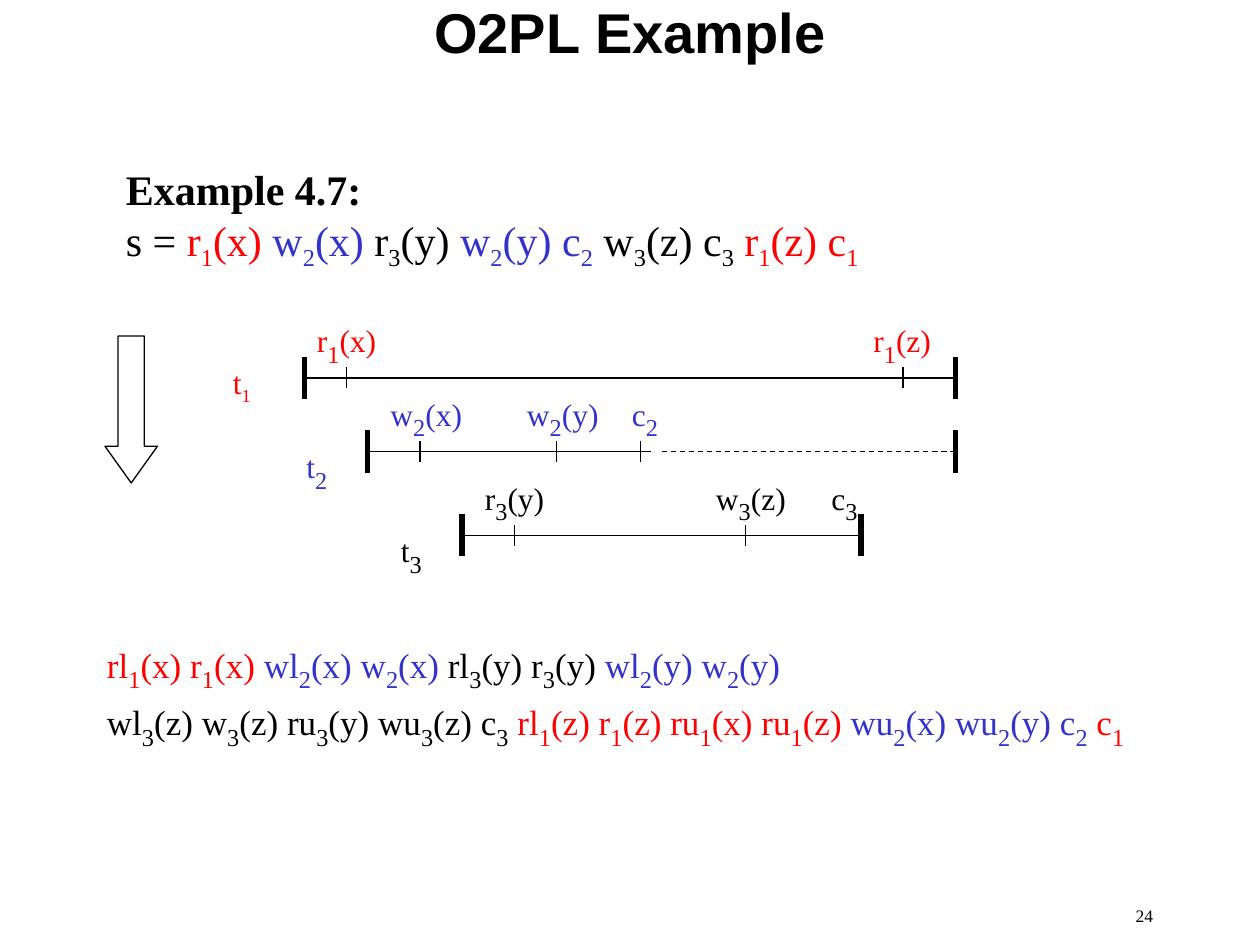
from dataclasses import dataclass
from itertools import groupby
from lxml import etree
from pptx import Presentation
from pptx.dml.color import RGBColor
from pptx.enum import dml, shapes, text
from pptx.oxml import ns
from pptx.util import Pt


@dataclass(frozen=True)
class Theme:
    ink: str = "000000"
    red: str = "FF0000"
    blue: str = "3333CC"
    head: str = "Arial"
    body: str = "Times New Roman"
    title: int = 32
    large: int = 24
    steps: int = 20
    label: int = 18
    small: int = 10
    thin: float = 0.75
    thick: float = 3

    def hue(self, tx):
        """Colour of a transaction; 0 stands for plain text."""
        return (self.ink, self.red, self.blue, self.ink)[tx]


class Page:
    def __init__(self, deck, theme):
        self.theme = theme
        self.shapes = deck.slides.add_slide(deck.slide_layouts[6]).shapes

    def box(self, x, y, w, h, anchor=text.MSO_ANCHOR.TOP):
        frame = self.shapes.add_textbox(Pt(x), Pt(y), Pt(w), Pt(h)).text_frame
        frame.word_wrap = True
        frame.vertical_anchor = anchor
        return frame

    def run(self, para, words, size, tx=0, bold=False, face=None):
        run = para.add_run()
        run.text = words
        font = run.font
        font.name, font.size, font.bold = face or self.theme.body, Pt(size), bold
        font.color.rgb = RGBColor.from_string(self.theme.hue(tx))
        return run

    def terms(self, para, parts, size, sub=Theme.large):
        """Write (transaction, words) pairs with every digit as a subscript."""
        for tx, words in parts:
            for low, chars in groupby(words, str.isdigit):
                run = self.run(para, "".join(chars), sub if low else size, tx)
                if low:
                    run.font._element.set("baseline", "-25000")

    def line(self, x1, y1, x2, y2, width=Theme.thin, dash=False):
        line = self.shapes.add_connector(
            shapes.MSO_CONNECTOR.STRAIGHT, Pt(x1), Pt(y1), Pt(x2), Pt(y2))
        line.line.color.rgb = RGBColor.from_string(self.theme.ink)
        line.line.width = Pt(width)
        if dash:
            line.line.dash_style = dml.MSO_LINE.DASH
        etree.SubElement(line._element.spPr, ns.qn("a:effectLst"))

    def mark(self, x, y, half, width=Theme.thin):
        self.line(x, y - half, x, y + half, width)

    def arrow(self, x, y, w, h):
        arrow = self.shapes.add_shape(
            shapes.MSO_SHAPE.DOWN_ARROW, Pt(x), Pt(y), Pt(w), Pt(h))
        arrow.adjustments[0], arrow.adjustments[1] = 0.5, 0.7
        arrow.shadow.inherit = False
        arrow.fill.background()
        arrow.line.color.rgb = RGBColor.from_string(self.theme.ink)
        arrow.line.width = Pt(self.theme.thin)

    def track(self, tx, y, name, spans, ops):
        """Draw one transaction's time line with its operations."""
        size = self.theme.label
        for x1, x2, dash in spans:
            self.line(x1, y, x2, y, dash=dash)
        for x in (spans[0][0], spans[-1][1]):
            self.mark(x, y, 12, self.theme.thick)
        left, wide, sub = name
        para = self.box(left, y - 12, wide, 40).paragraphs[0]
        self.terms(para, [(tx, f"t{tx}")], size, sub)
        for words, x, tick in ops:
            para = self.box(x, y - 42, WIDTH[words[0]], 40).paragraphs[0]
            self.terms(para, [(tx, words)], size)
            if tick:
                self.mark(tick, y, 6)


WIDTH = {"r": 50, "w": 56, "c": 30}
SCHEDULE = [(0, "s = "), (1, "r1(x) "), (2, "w2(x)"), (3, " r3(y) "),
            (2, "w2(y) c2"), (3, " w3(z) c3 "), (1, "r1(z) c1")]
OUTPUT = [
    [(1, "rl1(x) r1(x) "), (2, "wl2(x) w2(x)"), (3, " rl3(y) r3(y) "),
     (2, "wl2(y) w2(y)")],
    [(3, "wl3(z) w3(z) ru3(y) wu3(z) c3 "),
     (1, "rl1(z) r1(z) ru1(x) ru1(z) "), (2, "wu2(x) wu2(y) c2 "), (1, "c1")],
]
# transaction, y, name (x, width, subscript size), spans, (words, x, tick)
TRACKS = [
    (1, 216, (126, 40, Theme.label), [(174, 546, False)],
     [("r1(x)", 174, 198), ("r1(z)", 492, 516)]),
    (2, 258, (168, 33, Theme.large), [(210, 372, False), (378, 546, True)],
     [("w2(x)", 216, 240), ("w2(y)", 294, 318), ("c2", 354, 366)]),
    (3, 306, (222, 33, Theme.large),
     [(264, 336, False), (330, 468, False), (456, 492, False)],
     [("r3(y)", 270, 294), ("w3(z)", 402, 426), ("c3", 468, None)]),
]


def main():
    deck = Presentation()
    deck.slide_width, deck.slide_height = Pt(720), Pt(540)
    theme = Theme()
    page = Page(deck, theme)

    para = page.box(54, 0, 612, 36, text.MSO_ANCHOR.MIDDLE).paragraphs[0]
    para.alignment = text.PP_ALIGN.CENTER
    page.run(para, "O2PL Example", theme.title, bold=True, face=theme.head)

    frame = page.box(64.8, 90, 444, 69)
    page.run(frame.paragraphs[0], "Example 4.7:", theme.large, bold=True)
    page.terms(frame.add_paragraph(), SCHEDULE, theme.large)

    page.arrow(60, 192, 30, 84)
    for track in TRACKS:
        page.track(*track)

    frame = page.box(54, 360, 610, 73)
    for para, parts in zip((frame.paragraphs[0], frame.add_paragraph()), OUTPUT):
        page.terms(para, parts, theme.steps)

    para = page.box(516, 513.8, 150, 26).paragraphs[0]
    para.alignment = text.PP_ALIGN.RIGHT
    page.run(para, "24", theme.small)
    deck.save("out.pptx")


if __name__ == "__main__":
    main()
